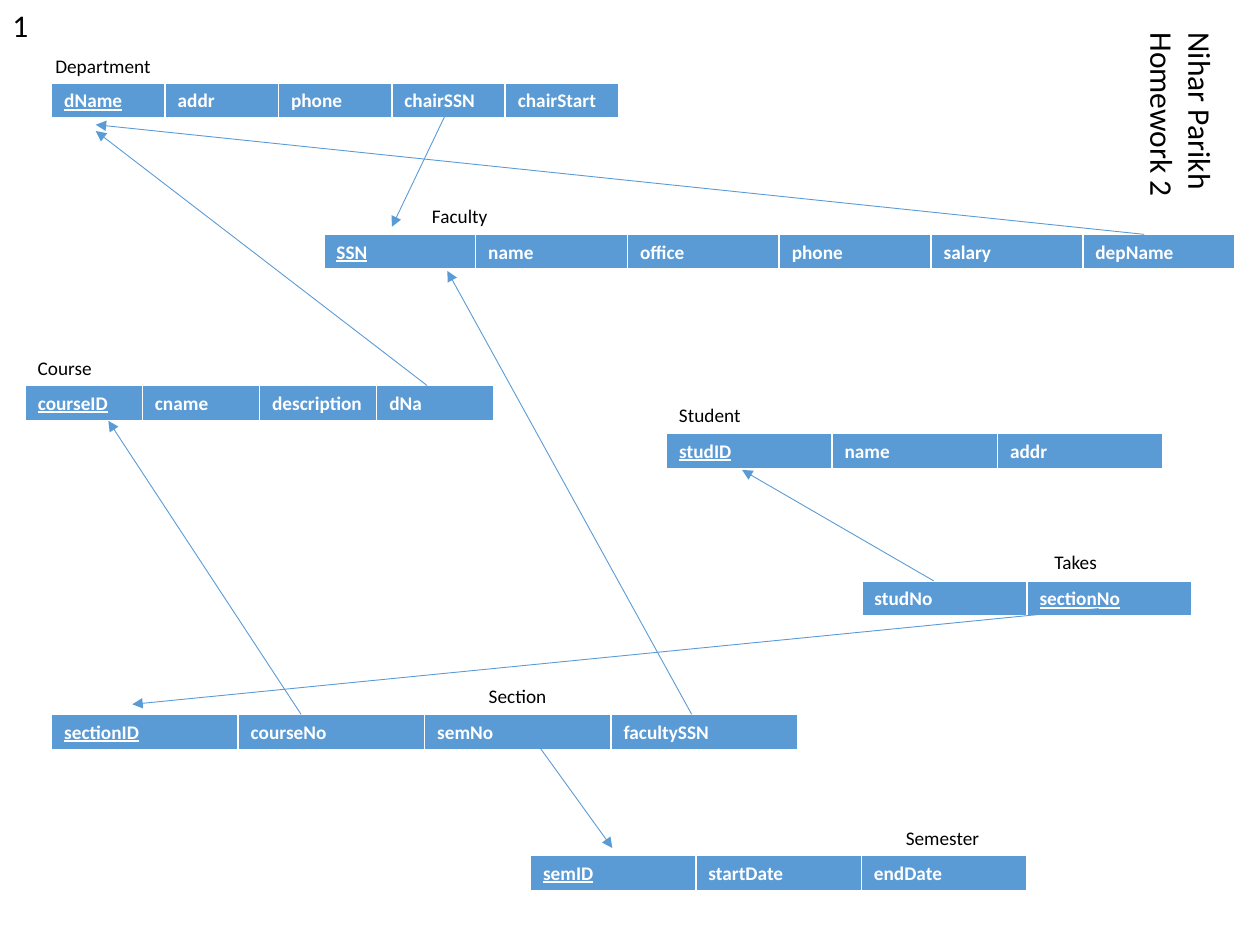
from lxml.etree import SubElement
from pptx import Presentation
from pptx.dml.color import RGBColor
from pptx.enum.shapes import MSO_CONNECTOR
from pptx.oxml.ns import qn
from pptx.util import Inches, Pt

BLUE, WHITE, BLACK = "5B9BD5", "FFFFFF", "000000"
ROW_HEIGHT = 0.28
BORDERS = {"a:lnL": 1, "a:lnR": 1, "a:lnT": 1, "a:lnB": 3}

RELATIONS = [
    ("Department", (0.34, 0.38), (0.41, 0.66, 4.5),
     ["dName", "addr", "phone", "chairSSN", "chairStart"], "dName"),
    ("Faculty", (3.33, 1.57), (2.57, 1.86, 7.23),
     ["SSN", "name", "office", "phone", "salary", "depName"], "SSN"),
    ("Student", (5.29, 3.15), (5.29, 3.44, 3.94),
     ["studID", "name", "addr"], "studID"),
    ("Section", (3.78, 5.38), (0.41, 5.67, 5.92),
     ["sectionID", "courseNo", "semNo", "facultySSN"], "sectionID"),
    ("Course", (0.2, 2.78), (0.2, 3.06, 3.72),
     ["courseID", "cname", "description", "dNa"], "courseID"),
    ("Semester", (7.09, 6.51), (4.21, 6.79, 3.94),
     ["semID", "startDate", "endDate"], "semID"),
    ("Takes", (8.27, 4.32), (6.84, 4.61, 2.62),
     ["studNo", "sectionNo"], "sectionNo"),
]

REFERENCES = [
    ((2.39, 5.67), (0.86, 3.34)),
    ((3.55, 0.88), (3.11, 1.8)),
    ((9.08, 1.86), (0.76, 0.99)),
    ((3.39, 3.06), (0.76, 1.04)),
    ((8.72, 4.83), (1.05, 5.59)),
    ((7.41, 4.61), (5.89, 3.73)),
    ((4.21, 5.83), (4.86, 6.73)),
    ((5.49, 5.67), (3.55, 2.15)),
]


def color(value):
    return RGBColor.from_string(value)


def style_runs(paragraph, size, ink, bold=False, underline=False):
    for run in paragraph.runs:
        font = run.font
        font.name, font.size = "Calibri", Pt(size)
        font.bold, font.underline = bold, underline
        font.color.rgb = color(ink)


def add_label(slide, left, top, width, height, lines, size, rotation=0):
    label = slide.shapes.add_textbox(
        Inches(left), Inches(top), Inches(width), Inches(height))
    label.rotation = rotation
    frame = label.text_frame
    frame.word_wrap = True
    frame.text = lines
    for paragraph in frame.paragraphs:
        style_runs(paragraph, size, BLACK)


def add_borders(cell):
    properties = cell._tc.get_or_add_tcPr()
    for position, (tag, width) in enumerate(BORDERS.items()):
        border = SubElement(properties, qn(tag), w=str(Pt(width)))
        fill = SubElement(border, qn("a:solidFill"))
        SubElement(fill, qn("a:srgbClr"), val=WHITE)
        properties.insert(position, border)


def add_relation(slide, left, top, width, attributes, key):
    relation = slide.shapes.add_table(
        1, len(attributes), Inches(left), Inches(top),
        Inches(width), Inches(ROW_HEIGHT)).table
    for column, attribute in enumerate(attributes):
        relation.columns[column].width = Inches(width / len(attributes))
        cell = relation.cell(0, column)
        cell.text_frame.text = attribute
        style_runs(cell.text_frame.paragraphs[0], 11, WHITE,
                   bold=True, underline=attribute == key)
        cell.fill.solid()
        cell.fill.fore_color.rgb = color(BLUE)
        add_borders(cell)


def add_reference(slide, start, end):
    arrow = slide.shapes.add_connector(
        MSO_CONNECTOR.STRAIGHT, *[Inches(value) for value in start + end])
    arrow.line.color.rgb = color(BLUE)
    arrow.line.width = Pt(0.5)
    SubElement(arrow.line._get_or_add_ln(), qn("a:tailEnd"), type="triangle")
    SubElement(arrow._element.spPr, qn("a:effectLst"))


def main():
    deck = Presentation()
    deck.slide_width, deck.slide_height = Inches(10), Inches(7.5)
    slide = deck.slides.add_slide(deck.slide_layouts[6])

    for _, _, box, attributes, key in RELATIONS:
        add_relation(slide, *box, attributes, key)
    for start, end in REFERENCES:
        add_reference(slide, start, end)
    for title, corner, *_ in RELATIONS:
        add_label(slide, *corner, 1.19, 0.29, title, 11)
    add_label(slide, 8.45, 0.73, 1.85, 0.71,
              "Nihar Parikh\nHomework 2", 18, rotation=90)
    add_label(slide, 0, 0, 0.26, 0.41, "1", 18)

    deck.save("out.pptx")


if __name__ == "__main__":
    main()
